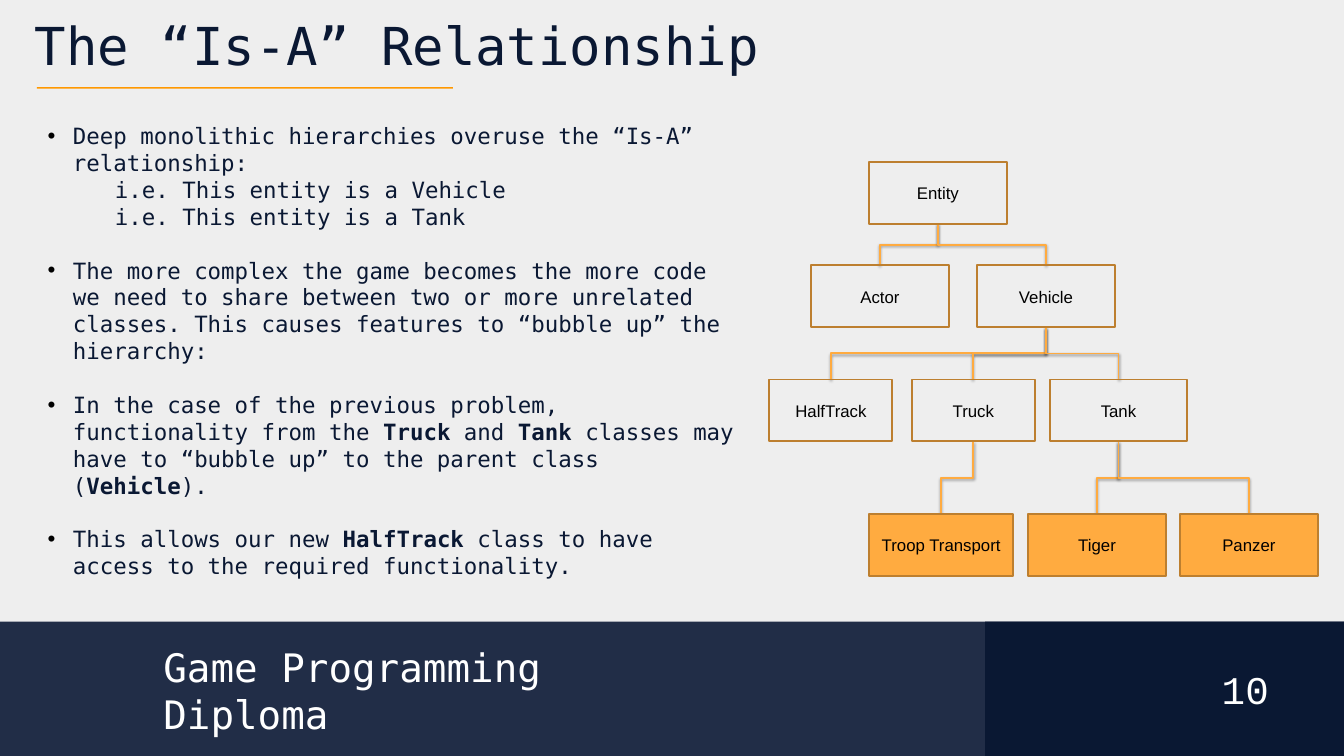
"""Builds the slide on the "Is-A" relationship with its class hierarchy."""
from lxml import etree
from pptx import Presentation
from pptx.dml.color import RGBColor
from pptx.enum.shapes import MSO_CONNECTOR, MSO_SHAPE
from pptx.enum.text import MSO_ANCHOR, MSO_AUTO_SIZE, PP_ALIGN
from pptx.oxml import parse_xml
from pptx.oxml.ns import qn
from pptx.util import Pt

RECTANGLE, ELBOW = MSO_SHAPE.RECTANGLE, MSO_CONNECTOR.ELBOW
LEFT, CENTER = PP_ALIGN.LEFT, PP_ALIGN.CENTER
TOP, MIDDLE = MSO_ANCHOR.TOP, MSO_ANCHOR.MIDDLE
NO_FIT = MSO_AUTO_SIZE.NONE

MONO = "DejaVu Sans Mono"
NAVY, ORANGE, BROWN, WHITE = "0A1833", "FFAB40", "BD7F2F", "FFFFFF"
TITLE = "The “Is-A” Relationship"
FOOTER = "Game Programming Diploma"
PAGE_NUMBER = "10"

# Each entry: kind, then text pieces; every second piece is bold.
BODY = [
    ("bullet", ["Deep monolithic hierarchies overuse the “Is-A” relationship:"]),
    ("example", ["i.e. This entity is a Vehicle"]),
    ("example", ["i.e. This entity is a Tank"]),
    ("bullet", ["The more complex the game becomes the more code we need to share "
                "between two or more unrelated classes. This causes features to "
                "“bubble up” the hierarchy:"]),
    ("bullet", ["In the case of the previous problem, functionality from the ", "Truck",
                " and ", "Tank", " classes may have to “bubble up” to the parent class (",
                "Vehicle", ")."]),
    ("bullet", ["This allows our new ", "HalfTrack",
                " class to have access to the required functionality."]),
]

BOX_HEIGHT = 66.4
ROWS = [
    (173.5, None, [("Entity", 931, 147.6, None)]),
    (284.4, None, [("Actor", 869, 147.6, "Entity"), ("Vehicle", 1046.9, 147.6, "Entity")]),
    (406.6, None, [("HalfTrack", 824.4, 131.8, "Vehicle"), ("Truck", 977, 131.8, "Vehicle"),
                   ("Tank", 1124.6, 147.6, "Vehicle")]),
    (550.8, ORANGE, [("Troop Transport", 931, 154.8, "Truck"), ("Tiger", 1101.6, 147.6, "Tank"),
                     ("Panzer", 1264.3, 147.6, "Tank")]),
]
SHADOW = (
    '<a:effectLst xmlns:a="http://schemas.openxmlformats.org/drawingml/2006/main">'
    '<a:outerShdw blurRad="39370" dist="20320" dir="5400000" rotWithShape="0">'
    '<a:srgbClr val="000000"><a:alpha val="38000"/></a:srgbClr>'
    '</a:outerShdw></a:effectLst>'
)


def color(value):
    return RGBColor.from_string(value)


def format_span(span, size, font, shade, bold=False):
    span.font.size, span.font.name, span.font.bold = Pt(size), font, bold
    span.font.color.rgb = color(shade)


def place(shape, left, top, width, height):
    shape.left, shape.top, shape.width, shape.height = map(Pt, (left, top, width, height))


def prepare_frame(frame, anchor):
    frame.word_wrap, frame.auto_size, frame.vertical_anchor = True, NO_FIT, anchor
    frame.margin_left = frame.margin_right = frame.margin_top = frame.margin_bottom = 0


def write_line(shape, text, size, font, shade, align=LEFT):
    prepare_frame(shape.text_frame, MIDDLE)
    para = shape.text_frame.paragraphs[0]
    para.text, para.alignment = text, align
    format_span(para.runs[0], size, font, shade)


def add_rectangle(page, area, fill=None, outline=None):
    box = page.shapes.add_shape(RECTANGLE, *map(Pt, area))
    box.shadow.inherit = False
    if fill:
        box.fill.solid()
        box.fill.fore_color.rgb = color(fill)
    else:
        box.fill.background()
    if outline:
        box.line.color.rgb, box.line.width = color(outline), Pt(2)
    else:
        box.line.fill.background()
    return box


def add_branch(page, start, end):
    """Draws an elbow that leaves downwards: a level one turned by 90 degrees."""
    (x1, y1), (x2, y2) = start, end
    x, y, run, drop = (x1 + x2) / 2, (y1 + y2) / 2, x2 - x1, y2 - y1
    branch = page.shapes.add_connector(
        ELBOW, Pt(x - drop / 2), Pt(y + run / 2), Pt(x + drop / 2), Pt(y - run / 2))
    branch.line.color.rgb, branch.line.width = color(ORANGE), Pt(2)
    properties = branch._element.spPr
    properties.find(qn("a:xfrm")).set("rot", "5400000")
    properties.append(parse_xml(SHADOW))


def write_body(shape):
    frame = shape.text_frame
    prepare_frame(frame, TOP)
    for index, (kind, pieces) in enumerate(BODY):
        para = frame.add_paragraph() if index else frame.paragraphs[0]
        settings = para._p.get_or_add_pPr()
        if kind == "bullet":
            settings.set("marL", str(Pt(27)))
            settings.set("indent", str(-Pt(27)))
            shade = etree.SubElement(settings, qn("a:buClr"))
            etree.SubElement(shade, qn("a:srgbClr")).set("val", "000000")
            etree.SubElement(settings, qn("a:buChar")).set("char", "•")
        else:
            settings.set("marL", str(Pt(72)))
            settings.set("indent", "0")
            etree.SubElement(settings, qn("a:buNone"))
        para.space_before = Pt(28.8 if index and kind == "bullet" else 0)
        para.line_spacing = Pt(28.8)
        for number, piece in enumerate(pieces):
            span = para.add_run()
            span.text = piece
            format_span(span, 24, MONO, NAVY, number % 2 == 1)


def draw_hierarchy(page):
    nodes = {name: (left, top, width, fill, parent)
             for top, fill, row in ROWS for name, left, width, parent in row}
    for left, top, width, fill, parent in nodes.values():
        if parent:
            above_left, above_top, above_width = nodes[parent][:3]
            add_branch(page, (above_left + above_width / 2, above_top + BOX_HEIGHT),
                       (left + width / 2, top))
    for name, (left, top, width, fill, parent) in nodes.items():
        box = add_rectangle(page, (left, top, width, BOX_HEIGHT), fill, BROWN)
        write_line(box, name, 18, "Arial", "000000", CENTER)


def main():
    deck = Presentation()
    deck.slide_width, deck.slide_height = Pt(1440), Pt(810)
    page = deck.slides.add_slide(deck.slide_layouts[1])
    page.background.fill.solid()
    page.background.fill.fore_color.rgb = color("EEEEEE")

    add_rectangle(page, (0, 666, 1440, 144), "212D47")
    add_rectangle(page, (1055.5, 666, 384.5, 144), NAVY)
    for text, font, area in [(FOOTER, MONO, (175, 708.5, 571, 62.6)),
                             (PAGE_NUMBER, "Courier New", (1309, 706.3, 59, 62.6))]:
        write_line(page.shapes.add_textbox(*map(Pt, area)), text, 42, font, WHITE)

    title, body = page.placeholders
    place(title, 37.4, 16.6, 846.7, 62.6)
    write_line(title, TITLE, 56, MONO, NAVY)
    place(body, 51.1, 131, 735.8, 528.5)
    write_body(body)
    add_rectangle(page, (39.6, 93.4, 445.7, 1.7), "FF9800")
    draw_hierarchy(page)
    deck.save("out.pptx")


if __name__ == "__main__":
    main()
